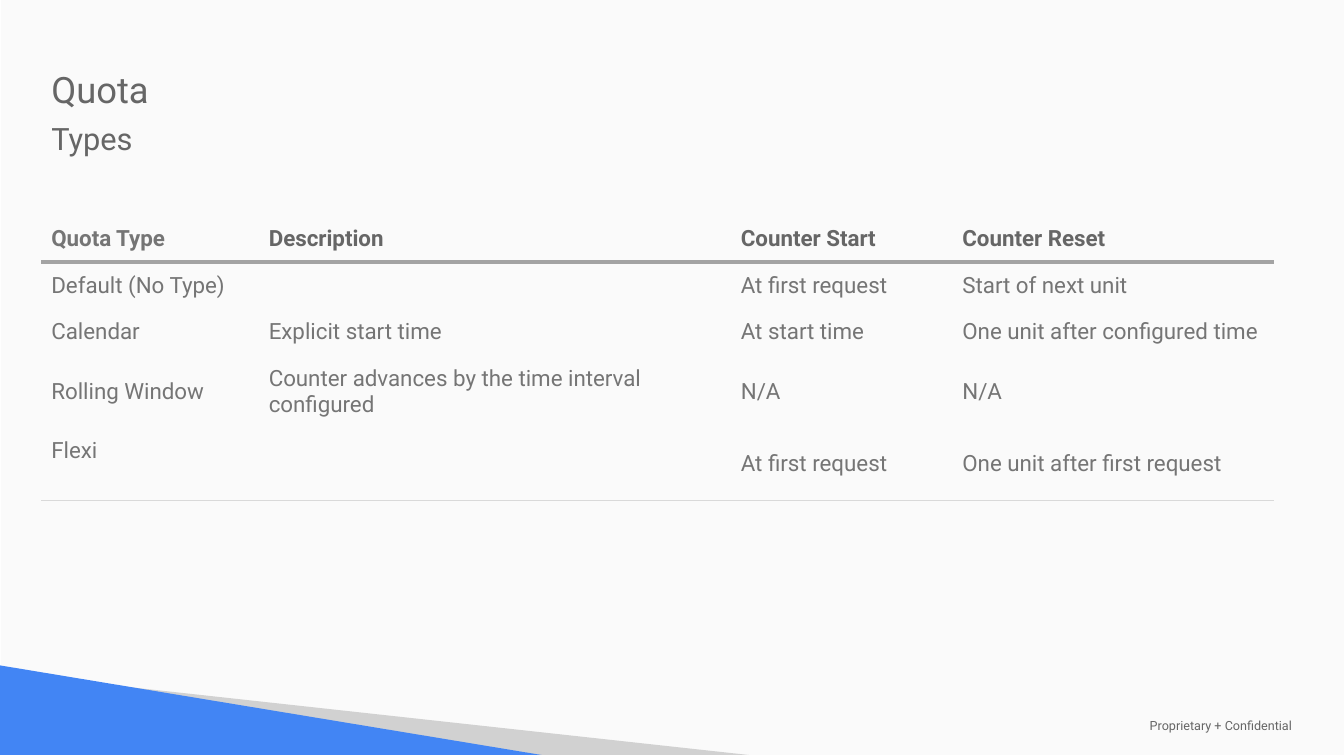
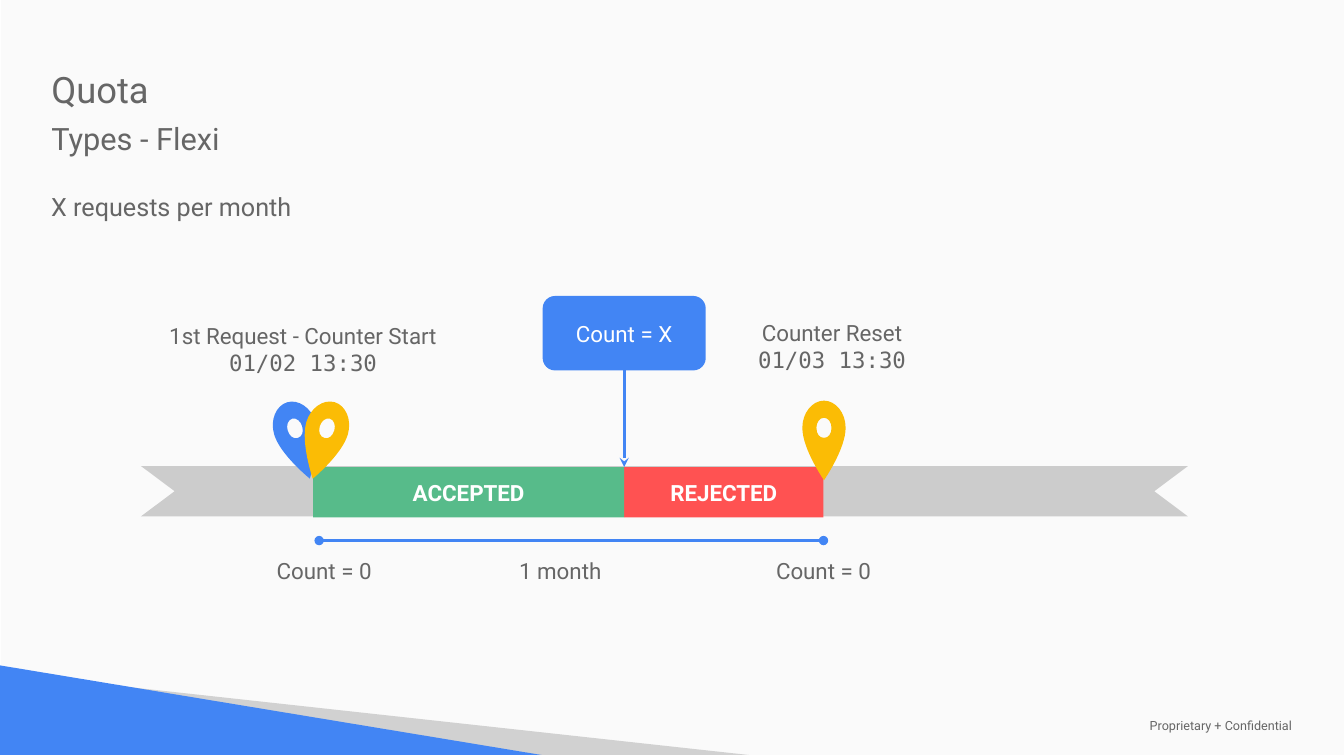
import lxml.etree
import pptx
import pptx.dml.color
import pptx.enum.shapes
import pptx.enum.text
import pptx.oxml.ns
import pptx.util

Inches, Pt, qn = pptx.util.Inches, pptx.util.Pt, pptx.oxml.ns.qn
SHAPE = pptx.enum.shapes.MSO_SHAPE
ANCHOR = pptx.enum.text.MSO_ANCHOR
ALIGN = pptx.enum.text.PP_ALIGN

BLUE, GREEN, RED, YELLOW = "4285F4", "57BB8A", "FF5252", "FBBC05"
DARK, GREY, RIBBON, WHITE, PAPER = "666666", "757575", "CCCCCC", "FFFFFF", "FAFAFA"
SANS, MONO = "Roboto", "DejaVu Sans Mono"
NO_GRID = "{2D5ABB26-0587-4C30-8999-92F81FD0307C}"
SIDES = ("left", "right", "top", "bottom")

PAGE_WIDTH, PAGE_HEIGHT, MARGIN = 13.35, 7.5, 0.41
BANDS = [
    ("D1D1D1", [(1.14, 6.81), (7.44, 7.5), (5.36, 7.5)]),
    (BLUE, [(0, 6.61), (0, 7.5), (5.38, 7.5)]),
]
FOOTER = "Proprietary + Confidential"

QUOTA_ROWS = [
    ("Quota Type", "Description", "Counter Start", "Counter Reset"),
    ("Default (No Type)", "", "At first request", "Start of next unit"),
    ("Calendar", "Explicit start time", "At start time", "One unit after configured time"),
    ("Rolling Window", "Counter advances by the time interval configured", "N/A", "N/A"),
    ("Flexi", "", "At first request", "One unit after first request"),
]
COLUMN_WIDTHS = [2.16, 4.69, 2.2, 3.2]
ROW_HEIGHTS = [0.46, 0.47, 0.46, 0.72, 0.72]
ROW_BORDERS = {0: ("A3A3A3", 3), 4: ("D9D9D9", 0.75)}

START, LIMIT, RESET = 3.11, 6.2, 8.18
BAR_TOP, BAR_HEIGHT, SPAN_TOP = 4.64, 0.5, 5.37
RIBBONS = [(1.4, 4.12, 0), (4.73, 7.07, 180)]
EVENTS = [
    ((1.12, 3.1, 3.78, 0.74), "1st Request - Counter Start", "01/02 13:30"),
    ((7.11, 3.07, 2.31, 0.79), "Counter Reset", "01/03 13:30"),
]
SPAN_LABELS = [("1 month", 4.52, 2.09), ("Count = 0", 2.51, 1.42), ("Count = 0", 7.47, 1.42)]
REJECTED, ACCEPTED = ("REJECTED", LIMIT, RESET, RED), ("ACCEPTED", START, LIMIT, GREEN)
RESET_PIN = (7.97, 0, YELLOW)
START_PINS = [(2.75, -16.5, BLUE), (3, 15.9, YELLOW)]
PIN_TOP, PIN_WIDTH = 3.98, 0.43
PIN_MIDDLE = PIN_WIDTH / 2
PIN_TIP = (PIN_MIDDLE, 0.79)
PIN_HALVES = [
    [(PIN_MIDDLE, 0), (0.1, 0), (0, 0.12), (0, 0.27), (0, 0.48), PIN_TIP, PIN_TIP],
    [(PIN_MIDDLE, 0.17), (0.17, 0.17), (0.14, 0.22), (0.14, 0.27),
     (0.14, 0.33), (0.17, 0.37), (PIN_MIDDLE, 0.37)],
]


def rgb(colour):
    return pptx.dml.color.RGBColor.from_string(colour)


def set_values(target, values):
    for name, value in values.items():
        setattr(target, name, value)


def add_span(para, text, size=16, colour=DARK, font=SANS, bold=False):
    span = para.add_run()
    span.text = text
    span.font.color.rgb = rgb(colour)
    set_values(span.font, {"name": font, "size": Pt(size), "bold": bold})


def write(frame, lines, align=ALIGN.LEFT, anchor=ANCHOR.TOP, inset=0.1, gap=0):
    set_values(frame, {"word_wrap": True, "vertical_anchor": anchor,
                       "auto_size": pptx.enum.text.MSO_AUTO_SIZE.NONE})
    set_values(frame, {"margin_" + side: Inches(inset) for side in SIDES})
    for index, (text, formats) in enumerate(lines):
        para = frame.add_paragraph() if index else frame.paragraphs[0]
        para.alignment = align
        para.space_before = Pt(gap if index else 0)
        add_span(para, text, **formats)


def add_text(slide, area, lines, **layout):
    box = slide.shapes.add_textbox(*map(Inches, area))
    write(box.text_frame, lines, **layout)
    return box


def paint(shape, colour):
    shape.shadow.inherit = False
    shape.fill.solid()
    shape.fill.fore_color.rgb = rgb(colour)
    shape.line.fill.background()
    return shape


def add_block(slide, kind, area, colour):
    return paint(slide.shapes.add_shape(kind, *map(Inches, area)), colour)


def add_outline(slide, contours, colour):
    contours = [[(Inches(x), Inches(y)) for x, y in contour] for contour in contours]
    builder = slide.shapes.build_freeform(*contours[0][0], scale=1.0)
    for index, contour in enumerate(contours):
        if index:
            builder.move_to(*contour[0])
        builder.add_line_segments(contour[1:], close=True)
    return paint(builder.convert_to_shape(), colour)


def round_outline(shape):
    steps = list(shape.element.iter(qn("a:lnTo")))
    for first, second, third in zip(steps[::3], steps[1::3], steps[2::3]):
        bend = lxml.etree.Element(qn("a:cubicBezTo"))
        first.addprevious(bend)
        for step in (first, second, third):
            bend.append(step[0])
            step.getparent().remove(step)


def add_line(slide, start, end, **ends):
    points = map(Inches, start + end)
    line = slide.shapes.add_connector(pptx.enum.shapes.MSO_CONNECTOR.STRAIGHT, *points)
    line.line.color.rgb = rgb(BLUE)
    line.line.width = Pt(2.25)
    outline = line.element.spPr.find(qn("a:ln"))
    for end_name, kind in ends.items():
        lxml.etree.SubElement(outline, qn("a:" + end_name), type=kind)
    lxml.etree.SubElement(line.element.spPr, qn("a:effectLst"))
    return line


def add_pin(slide, left, angle, colour):
    contours = []
    for half in PIN_HALVES:
        whole = half + [(PIN_WIDTH - x, y) for x, y in half[-2::-1]]
        contours.append([(left + x, PIN_TOP + y) for x, y in whole])
    pin = add_outline(slide, contours, colour)
    round_outline(pin)
    pin.rotation = angle


def add_slide(deck, subtitle):
    slide = deck.slides.add_slide(deck.slide_layouts[5])
    title = slide.shapes.title
    title.left, title.top, title.width, title.height = map(Inches, (MARGIN, 0.57, 7.23, 1.12))
    write(title.text_frame, [("Quota", {"size": 26}), (subtitle, {"size": 22})], gap=6)
    return slide


def dress_layout(slide):
    shared = [add_block(slide, SHAPE.RECTANGLE, (0.01, 0, PAGE_WIDTH, PAGE_HEIGHT), PAPER)]
    shared += [add_outline(slide, [points], colour) for colour, points in BANDS]
    shared.append(add_text(slide, (11.29, 7.12, 1.99, 0.18), [(FOOTER, {"size": 9})],
                           anchor=ANCHOR.MIDDLE, inset=0.13))
    for shape in shared:
        slide.slide_layout.shapes.element.append(shape.element)


def add_bottom_border(cell, colour, width):
    border = lxml.etree.Element(qn("a:lnB"), w=str(Pt(width)))
    fill = lxml.etree.SubElement(border, qn("a:solidFill"))
    lxml.etree.SubElement(fill, qn("a:srgbClr"), val=colour)
    cell._tc.get_or_add_tcPr().insert(0, border)


def fill_types(slide):
    area = (MARGIN, 2.14, sum(COLUMN_WIDTHS), sum(ROW_HEIGHTS))
    holder = slide.shapes.add_table(len(QUOTA_ROWS), len(COLUMN_WIDTHS), *map(Inches, area))
    holder.element.find(".//" + qn("a:tableStyleId")).text = NO_GRID
    table = holder.table
    table.horz_banding = False
    for column, width in zip(table.columns, COLUMN_WIDTHS):
        column.width = Inches(width)
    for row_index, (texts, height) in enumerate(zip(QUOTA_ROWS, ROW_HEIGHTS)):
        header = row_index == 0
        table.rows[row_index].height = Inches(height)
        for column_index, text in enumerate(texts):
            cell = table.cell(row_index, column_index)
            cell.fill.background()
            cell.vertical_anchor = ANCHOR.TOP if header or text == "Flexi" else ANCHOR.MIDDLE
            inset = Inches(0.1 if text else 0)
            set_values(cell, {"margin_" + side: inset for side in SIDES})
            if text:
                colour = DARK if header and column_index else GREY
                add_span(cell.text_frame.paragraphs[0], text, colour=colour, bold=header)
            if row_index in ROW_BORDERS:
                add_bottom_border(cell, *ROW_BORDERS[row_index])


def add_bar(slide, label, left, right, colour):
    bar = add_block(slide, SHAPE.RECTANGLE, (left, BAR_TOP, right - left, BAR_HEIGHT), colour)
    write(bar.text_frame, [(label, {"colour": WHITE, "bold": True})],
          align=ALIGN.CENTER, anchor=ANCHOR.MIDDLE)


def fill_flexi(slide):
    centred = {"align": ALIGN.CENTER, "anchor": ANCHOR.MIDDLE}
    limit_box = add_block(slide, SHAPE.ROUNDED_RECTANGLE, (5.39, 2.94, 1.62, 0.74), BLUE)
    write(limit_box.text_frame, [("Count = X", {"colour": WHITE})], **centred)
    for left, width, angle in RIBBONS:
        ribbon = add_block(slide, SHAPE.CHEVRON, (left, 4.63, width, BAR_HEIGHT), RIBBON)
        ribbon.adjustments[0] = 0.67
        ribbon.rotation = angle
    add_text(slide, (MARGIN, 1.8, 6.48, 0.5), [("X requests per month", {"size": 18})])
    for area, label, moment in EVENTS:
        add_text(slide, area, [(label, {}), (moment, {"font": MONO})], align=ALIGN.CENTER)
    add_line(slide, (3.17, SPAN_TOP), (RESET, SPAN_TOP), headEnd="oval", tailEnd="oval")
    for label, left, width in SPAN_LABELS:
        add_text(slide, (left, SPAN_TOP, width, 0.6), [(label, {})], **centred)
    arrow = add_line(slide, (LIMIT, 3.68), (LIMIT, BAR_TOP), tailEnd="stealth")
    arrow.begin_connect(limit_box, 2)
    add_bar(slide, *REJECTED)
    add_pin(slide, *RESET_PIN)
    add_bar(slide, *ACCEPTED)
    for pin in START_PINS:
        add_pin(slide, *pin)


def main():
    deck = pptx.Presentation()
    deck.slide_width, deck.slide_height = Inches(PAGE_WIDTH), Inches(PAGE_HEIGHT)
    types = add_slide(deck, "Types")
    dress_layout(types)
    fill_types(types)
    fill_flexi(add_slide(deck, "Types - Flexi"))
    deck.save("out.pptx")


if __name__ == "__main__":
    main()
